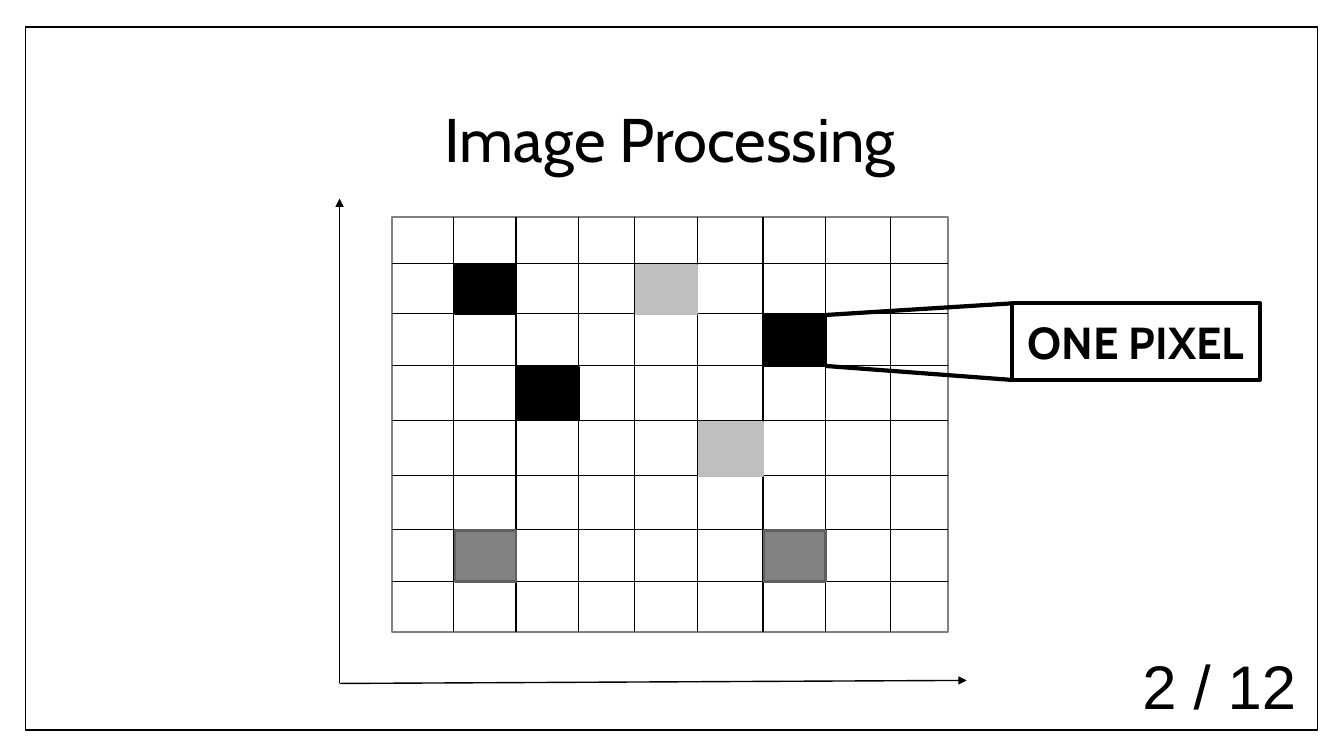
from pptx import Presentation
from pptx.dml.color import RGBColor
from pptx.enum.shapes import MSO_CONNECTOR as Connector, MSO_SHAPE as Preset
from pptx.enum.text import MSO_ANCHOR as Anchor, PP_ALIGN as Align
from pptx.oxml.ns import qn
from pptx.util import Pt
from lxml.etree import SubElement

# Content
TITLE = "Image Processing"
PAGE_NUMBER = "2 / 12"
CALLOUT = "ONE PIXEL"
BLACK, WHITE, GRAY, DARK, LIGHT = "000000", "FFFFFF", "818183", "5F5F61", "BFBFBF"

# Grid edges, outer border included
COLUMNS = [280, 324, 368.6, 413.3, 453, 498.2, 545, 589.7, 635.8, 677]
ROWS = [154.8, 188, 224, 261.4, 300.2, 339.8, 378, 415.4, 451.6]

# Coloured pixels: row, column, fill, line
PIXELS = [
    (1, 1, BLACK, BLACK), (3, 2, BLACK, BLACK), (2, 6, BLACK, BLACK),
    (6, 6, GRAY, DARK), (6, 1, GRAY, DARK),
    (4, 5, LIGHT, LIGHT), (1, 4, LIGHT, LIGHT),
]
MARKED_ROW, MARKED_COLUMN = 2, 6

FRAME_BOX = (18, 19.4, 923, 502)
TITLE_BOX = (90, 48.2, 777.6, 106.6)
NUMBER_BOX = (741, 474.5, 192.2, 28.8)
CALLOUT_BOX = (723, 216.7, 177, 54.7)
ORIGIN, AXIS_ENDS = (242.6, 488.2), [(242.6, 141.8), (690.5, 486)]


def color(value):
    return RGBColor.from_string(value)


def add_box(place, fill, line, weight):
    box = page.shapes.add_shape(Preset.RECTANGLE, *map(Pt, place))
    box.shadow.inherit = False
    box.fill.solid()
    box.fill.fore_color.rgb = color(fill)
    box.line.color.rgb = color(line)
    box.line.width = Pt(weight)
    return box


def add_line(start, end, weight, arrow=False):
    line = page.shapes.add_connector(Connector.STRAIGHT, *map(Pt, (*start, *end)))
    line.line.color.rgb = color(BLACK)
    line.line.width = Pt(weight)
    if arrow:
        SubElement(line.line._get_or_add_ln(), qn("a:tailEnd"), type="triangle")
    SubElement(line.element.spPr, qn("a:effectLst"))


def write(box, text, font, size, align, bold=False, wrap=True):
    frame = box.text_frame
    frame.text = text
    frame.word_wrap = wrap
    frame.vertical_anchor = Anchor.MIDDLE
    para = frame.paragraphs[0]
    para.alignment = align
    para.font.name, para.font.size, para.font.bold = font, Pt(size), bold
    para.font.color.rgb = color(BLACK)
    return para


deck = Presentation()
deck.slide_width, deck.slide_height = Pt(960), Pt(540)
page = deck.slides.add_slide(deck.slide_layouts[5])

# Title, with the page frame behind it
title = page.shapes.title
title.left, title.top, title.width, title.height = map(Pt, TITLE_BOX)
write(title, TITLE, "Cabin", 44, Align.CENTER).line_spacing = 0.9
title.element.addprevious(add_box(FRAME_BOX, WHITE, BLACK, 1).element)

# Page number
number = page.shapes.add_textbox(*map(Pt, NUMBER_BOX))
write(number, PAGE_NUMBER, "Arial", 44, Align.RIGHT)

# Grid
left, right, top, bottom = COLUMNS[0], COLUMNS[-1], ROWS[0], ROWS[-1]
add_box((left, top, right - left, bottom - top), WHITE, GRAY, 1.5)
for y in ROWS[1:-1]:
    add_line((left, y), (right, y), 0.79)
for x in COLUMNS[1:-1]:
    add_line((x, top), (x, bottom), 0.79)

# Axes
for end in AXIS_ENDS:
    add_line(ORIGIN, end, 1, arrow=True)

# Pixels, set just inside the top left of their cells
for row, column, fill, line in PIXELS:
    x, y = COLUMNS[column] + 1, ROWS[row] + 1
    add_box((x, y, COLUMNS[column + 1] - x, ROWS[row + 1] - y), fill, line, 1.5)

# Callout and the lines that lead to it
box_left, box_top, box_width, box_height = CALLOUT_BOX
pixel_right = COLUMNS[MARKED_COLUMN + 1]
add_line((pixel_right, ROWS[MARKED_ROW] + 1), (box_left, box_top), 3)
add_line((pixel_right, ROWS[MARKED_ROW + 1]), (box_left, box_top + box_height), 3)
callout = add_box(CALLOUT_BOX, WHITE, BLACK, 3)
write(callout, CALLOUT, "Cabin", 32, Align.CENTER, bold=True, wrap=False)

deck.save("out.pptx")
